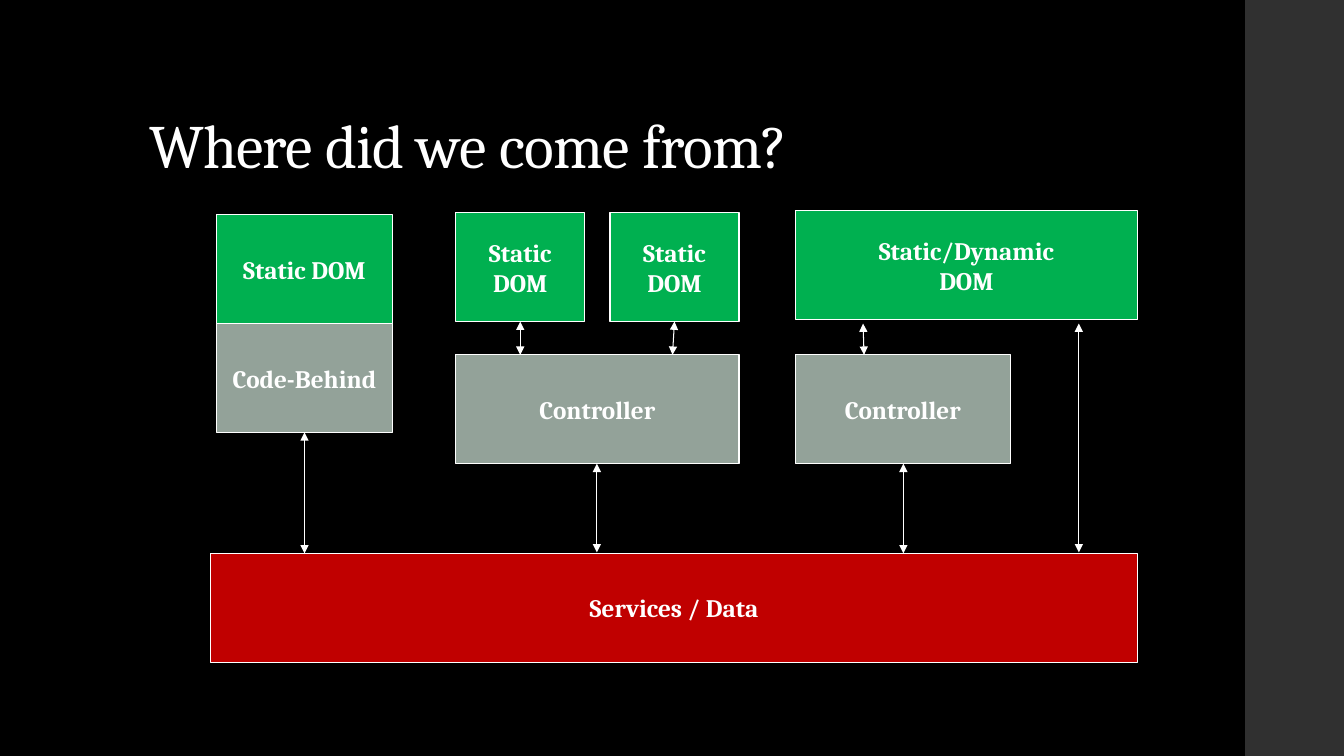
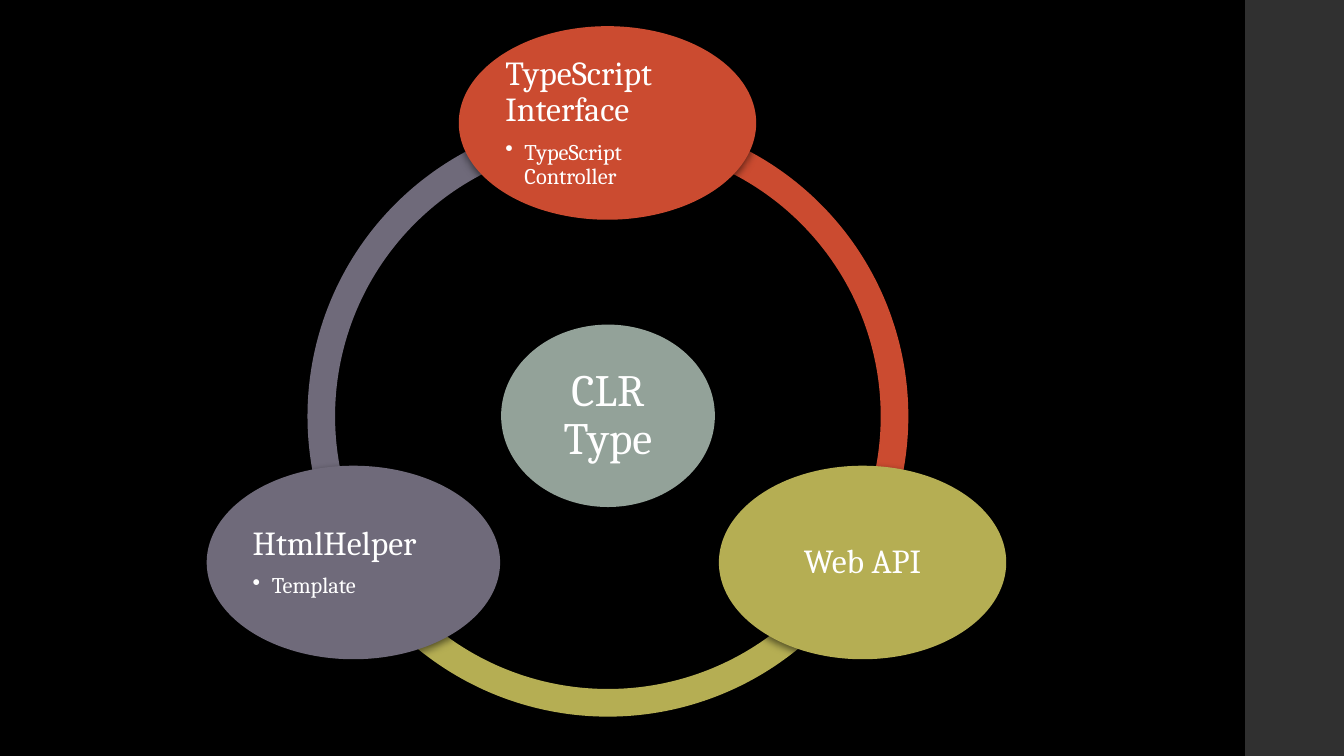
from lxml import etree
from pptx import Presentation
from pptx.dml.color import RGBColor
from pptx.enum.shapes import MSO_CONNECTOR, MSO_SHAPE
from pptx.enum.text import MSO_ANCHOR as Anchor, PP_ALIGN as Align
from pptx.oxml.ns import qn
from pptx.util import Inches, Pt

# Shared style
FONT = "Cambria"
BLACK, WHITE, BAND = "000000", "FFFFFF", "303030"
GREEN, SAGE, DARK_RED = "00B050", "93A299", "C00000"
ORANGE, OLIVE, PURPLE = "CB4B30", "B5AE53", "6F6A7A"
BOX_HEIGHT = 1.08


def color(hex_text):
    return RGBColor.from_string(hex_text)


def add_child(parent, tag, **attributes):
    child = etree.SubElement(parent, qn(tag))
    for name, value in attributes.items():
        child.set(name, str(value))
    return child


def format_paragraph(paragraph, size, align, bold=False):
    paragraph.alignment = align
    for run in paragraph.runs:
        run.font.name = FONT
        run.font.size = Pt(size)
        run.font.bold = bold
        run.font.color.rgb = color(WHITE)


def add_shape(slide, kind, left, top, width, height, fill):
    shape = slide.shapes.add_shape(
        kind, Inches(left), Inches(top), Inches(width), Inches(height))
    shape.shadow.inherit = False
    shape.fill.solid()
    shape.fill.fore_color.rgb = color(fill)
    shape.line.fill.background()
    return shape


def add_slide(presentation):
    slide = presentation.slides.add_slide(presentation.slide_layouts[6])
    add_shape(slide, MSO_SHAPE.RECTANGLE, 12.35, 0, 0.98, 7.5, BAND)
    return slide


def add_title(slide, text):
    title = slide.shapes.add_textbox(
        Inches(1.38), Inches(0.4), Inches(10.6), Inches(1.45))
    frame = title.text_frame
    frame.word_wrap = True
    frame.vertical_anchor = Anchor.BOTTOM
    frame.text = text
    paragraph = frame.paragraphs[0]
    paragraph.line_spacing = 0.9
    format_paragraph(paragraph, 44, Align.LEFT)
    paragraph.runs[0].font._element.set("spc", "-50")


def add_box(slide, text, left, top, width, fill):
    box = add_shape(slide, MSO_SHAPE.RECTANGLE, left, top, width, BOX_HEIGHT, fill)
    box.line.color.rgb = color(WHITE)
    box.line.width = Pt(0.75)
    frame = box.text_frame
    frame.word_wrap = True
    frame.vertical_anchor = Anchor.MIDDLE
    frame.text = text
    for paragraph in frame.paragraphs:
        format_paragraph(paragraph, 18, Align.CENTER, bold=True)


def add_double_arrow(slide, start_x, start_y, end_x, end_y):
    arrow = slide.shapes.add_connector(
        MSO_CONNECTOR.STRAIGHT,
        Inches(start_x), Inches(start_y), Inches(end_x), Inches(end_y))
    arrow.line.color.rgb = color(WHITE)
    arrow.line.width = Pt(0.75)
    line = arrow.line._get_or_add_ln()
    add_child(line, "a:headEnd", type="triangle")
    add_child(line, "a:tailEnd", type="triangle")
    add_child(arrow._element.spPr, "a:effectLst")


def add_soft_shadow(shape):
    effects = shape._element.spPr.find(qn("a:effectLst"))
    shadow = add_child(effects, "a:outerShdw", blurRad=Pt(6), dist=Pt(2),
                       dir=90 * 60000, algn="ctr", rotWithShape=0)
    shadow_color = add_child(shadow, "a:srgbClr", val=BLACK)
    add_child(shadow_color, "a:alpha", val=55000)


def add_ring_arc(slide, start, end, fill):
    arc = add_shape(slide, MSO_SHAPE.BLOCK_ARC, 3.05, 1.15, 5.96, 5.96, fill)
    # Adjustments hold angles in units of 5/3 degree
    arc.adjustments[0] = start * 0.6
    arc.adjustments[1] = end * 0.6
    arc.adjustments[2] = 0.046
    add_soft_shadow(arc)


def make_bullet(paragraph):
    paragraph.level = 1
    properties = paragraph._element.get_or_add_pPr()
    properties.set("marL", str(Inches(0.19)))
    properties.set("indent", str(-Inches(0.19)))
    add_child(properties, "a:buChar", char="•")


def add_node(slide, left, top, width, height, fill, heading, detail=None,
             size=24, inset=0.03):
    node = add_shape(slide, MSO_SHAPE.OVAL, left, top, width, height, fill)
    add_soft_shadow(node)
    frame = node.text_frame
    frame.word_wrap = True
    frame.vertical_anchor = Anchor.MIDDLE
    frame.margin_left = frame.margin_right = Inches(inset)
    frame.margin_top = frame.margin_bottom = Inches(inset)
    frame.text = heading
    first = frame.paragraphs[0]
    first.line_spacing = 0.9
    first.space_after = Pt(size * 0.35)
    format_paragraph(first, size, Align.LEFT if detail else Align.CENTER)
    if detail:
        second = frame.add_paragraph()
        second.text = detail
        second.line_spacing = 0.9
        second.space_after = Pt(2.4)
        format_paragraph(second, 16, Align.LEFT)
        make_bullet(second)


def build_history(presentation):
    slide = add_slide(presentation)
    add_title(slide, "Where did we come from?")

    # Layers: text, left, top, width, fill
    for box in (
        ("Services / Data", 2.09, 5.49, 9.19, DARK_RED),
        ("Code-Behind", 2.15, 3.21, 1.74, SAGE),
        ("Static DOM", 2.15, 2.13, 1.74, GREEN),
        ("Static DOM", 4.52, 2.11, 1.28, GREEN),
        ("Controller", 4.52, 3.52, 2.81, SAGE),
        ("Static DOM", 6.05, 2.11, 1.28, GREEN),
        ("Controller", 7.89, 3.52, 2.13, SAGE),
        ("Static/Dynamic\nDOM", 7.89, 2.09, 3.39, GREEN),
    ):
        add_box(slide, *box)

    # Links between layers
    for link in (
        (3.02, 4.29, 3.02, 5.49),
        (5.16, 3.19, 5.16, 3.52),
        (6.69, 3.19, 6.67, 3.52),
        (5.92, 4.6, 5.92, 5.48),
        (8.56, 3.21, 8.57, 3.52),
        (10.7, 3.21, 10.7, 5.48),
        (8.96, 4.6, 8.96, 5.49),
    ):
        add_double_arrow(slide, *link)


def build_type_cycle(presentation):
    slide = add_slide(presentation)

    # Ring, in degrees clockwise from the right
    add_ring_arc(slide, 150, 270, PURPLE)
    add_ring_arc(slide, 30, 150, OLIVE)
    add_ring_arc(slide, 270, 30, ORANGE)

    # Centre and outer nodes
    add_node(slide, 4.97, 3.22, 2.12, 1.81, SAGE, "CLR Type", size=32, inset=0.04)
    add_node(slide, 4.55, 0.26, 2.95, 1.92, ORANGE,
             "TypeScript Interface", "TypeScript Controller")
    add_node(slide, 7.13, 4.62, 2.85, 1.92, OLIVE, "Web API")
    add_node(slide, 2.05, 4.62, 2.91, 1.92, PURPLE, "HtmlHelper", "Template")


def main():
    presentation = Presentation()
    presentation.slide_width = Inches(13.33)
    presentation.slide_height = Inches(7.5)
    background = presentation.slide_master.background.fill
    background.solid()
    background.fore_color.rgb = color(BLACK)
    build_history(presentation)
    build_type_cycle(presentation)
    presentation.save("out.pptx")


main()
